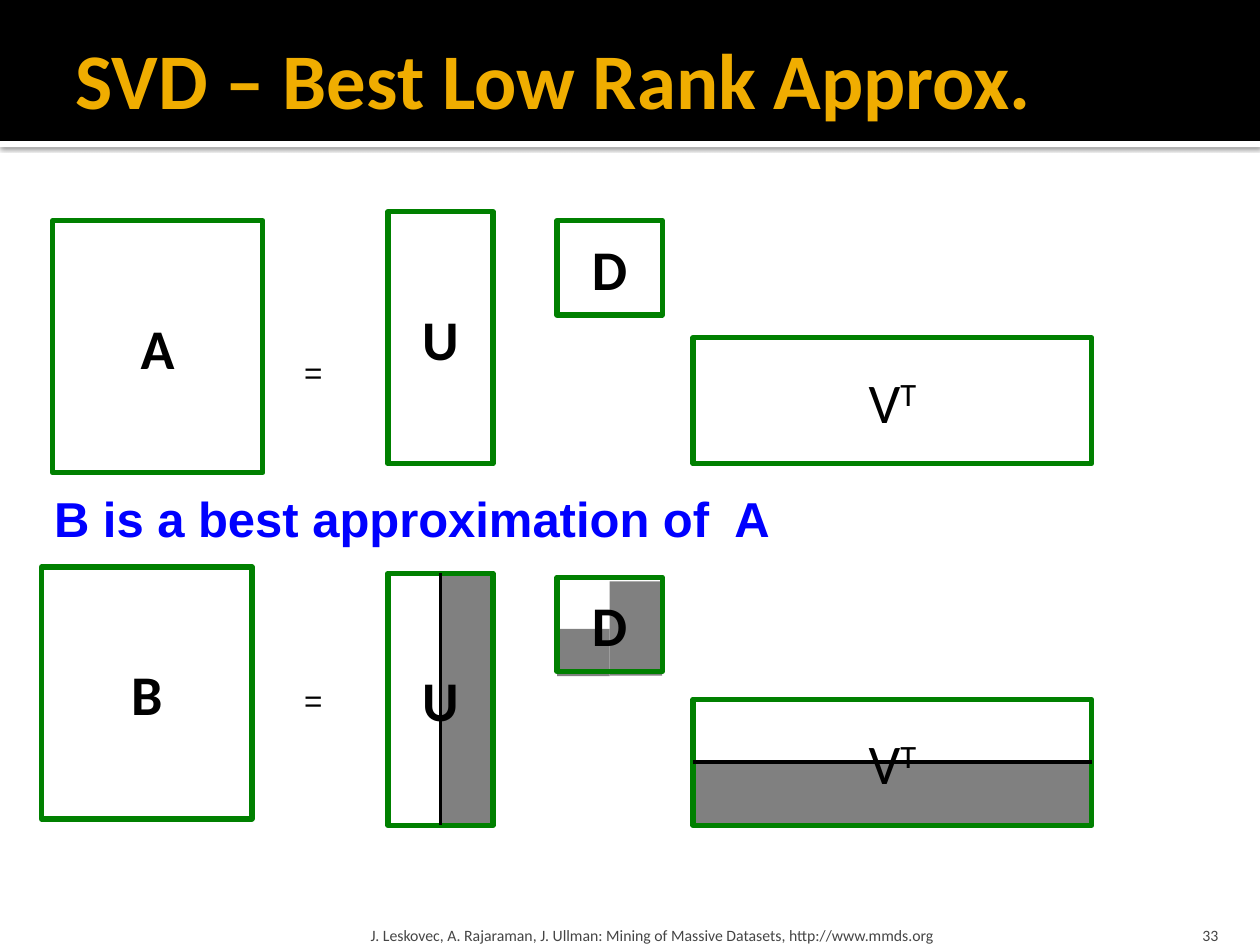
from lxml.etree import SubElement
from pptx import Presentation
from pptx.dml.color import RGBColor
from pptx.enum.shapes import MSO_CONNECTOR, MSO_SHAPE
from pptx.enum.text import MSO_ANCHOR, MSO_AUTO_SIZE, PP_ALIGN
from pptx.oxml.ns import qn
from pptx.util import Cm, Pt

BLACK = RGBColor(0x00, 0x00, 0x00)
WHITE = RGBColor(0xFF, 0xFF, 0xFF)
GOLD = RGBColor(0xF0, 0xAD, 0x00)
GREEN = RGBColor(0x00, 0x80, 0x00)
GREY = RGBColor(0x80, 0x80, 0x80)
BLUE = RGBColor(0x00, 0x00, 0xFF)
FOOTER_GREY = RGBColor(0x45, 0x45, 0x45)

SLIDE_W, SLIDE_H = 25.4, 19.05
TALL = 5.08
U_W = D_W = 2.12
D_H = 1.9
V_W, V_H = 8.04, 2.54


def add_run(paragraph, text, size, color, font="Calibri", bold=False):
    run = paragraph.add_run()
    run.text = text
    run.font.name = font
    run.font.size = Pt(size)
    run.font.bold = bold
    run.font.color.rgb = color
    return run


def add_filled_rect(slide, left, top, width, height, color):
    rect = slide.shapes.add_shape(
        MSO_SHAPE.RECTANGLE, Cm(left), Cm(top), Cm(width), Cm(height))
    rect.shadow.inherit = False
    rect.fill.solid()
    rect.fill.fore_color.rgb = color
    rect.line.fill.background()
    return rect


def add_matrix(slide, left, top, width, height, name, exponent=""):
    """Outlined matrix; one with an exponent is set in regular weight."""
    matrix = slide.shapes.add_shape(
        MSO_SHAPE.RECTANGLE, Cm(left), Cm(top), Cm(width), Cm(height))
    matrix.shadow.inherit = False
    matrix.fill.background()
    matrix.line.color.rgb = GREEN
    matrix.line.width = Pt(3)
    matrix.text_frame.vertical_anchor = MSO_ANCHOR.MIDDLE
    label = matrix.text_frame.paragraphs[0]
    label.alignment = PP_ALIGN.CENTER
    add_run(label, name, 32, BLACK, bold=not exponent)
    if exponent:
        raised = add_run(label, exponent, 32, BLACK)
        raised.font._element.set("baseline", "30000")
    return matrix


def add_cut(slide, matrix, start_side, end_side):
    """Line through a matrix between the middles of two opposite sides."""
    cut = slide.shapes.add_connector(MSO_CONNECTOR.STRAIGHT, 0, 0, 0, 0)
    cut.begin_connect(matrix, start_side)
    cut.end_connect(matrix, end_side)
    cut.line.color.rgb = BLACK
    cut.line.width = Pt(2.25)
    SubElement(cut._element.spPr, qn("a:effectLst"))


def add_text(slide, left, top, width, height, text, size, color,
             font="Calibri", bold=False, anchor=MSO_ANCHOR.TOP,
             align=PP_ALIGN.LEFT, insets=None):
    """Text box; with insets it wraps in its box, without it fits the text."""
    box = slide.shapes.add_textbox(Cm(left), Cm(top), Cm(width), Cm(height))
    frame = box.text_frame
    frame.word_wrap = insets is not None
    frame.vertical_anchor = anchor
    if insets:
        (frame.margin_left, frame.margin_top,
         frame.margin_right, frame.margin_bottom) = map(Cm, insets)
    else:
        frame.auto_size = MSO_AUTO_SIZE.SHAPE_TO_FIT_TEXT
    paragraph = frame.paragraphs[0]
    paragraph.alignment = align
    add_run(paragraph, text, size, color, font, bold)


def add_header(slide, left, top, width, height, title):
    rule = add_filled_rect(slide, left, top + height, width, 0.13, WHITE)
    effects = rule._element.spPr.find(qn("a:effectLst"))
    shadow = SubElement(effects, qn("a:outerShdw"), blurRad=str(Pt(2.5)),
                        dist=str(Pt(0.8)), dir="5400000", rotWithShape="0")
    shade = SubElement(shadow, qn("a:srgbClr"), val=str(BLACK))
    SubElement(shade, qn("a:alpha"), val="60000")
    add_filled_rect(slide, left, top, width, height, BLACK)
    add_text(slide, left + 1.27, top + 0.2, width - 2.54, 2.74, title, 45, GOLD,
             bold=True, anchor=MSO_ANCHOR.MIDDLE, insets=(0.25, 0.13, 0.13, 0.13))


def add_footer(slide, top, height, source, number):
    add_text(slide, 7.34, top, 15.29, height, source, 9, FOOTER_GREY,
             anchor=MSO_ANCHOR.BOTTOM, insets=(0.13, 0.13, 0.13, 0))
    add_text(slide, 22.78, top, 2.03, height, number, 9, FOOTER_GREY,
             anchor=MSO_ANCHOR.BOTTOM, align=PP_ALIGN.RIGHT,
             insets=(0.25, 0.13, 0.25, 0))


def add_dropped_parts(slide, u_left, d_left, v_left, top, d_top, v_top):
    """Grey out the halves of U, D and V that the approximation leaves out."""
    half = U_W / 2
    for box in (
        (v_left, v_top + V_H / 2, V_W, V_H / 2),
        (u_left + half, top + 0.05, half, TALL - 0.05),
        (d_left, d_top + 1.04, half, D_H / 2),
        (d_left + half, d_top + 0.08, half, D_H),
    ):
        add_filled_rect(slide, *box, GREY)


def add_equation(slide, left, top, name, name_offset, equals_offset,
                 d_offset, truncated=False):
    """Matrix = U D V^T; offsets are measured from the top left of the row."""
    u_left, d_left, v_left = left + 6.98, left + 10.39, left + 13.13
    d_top, v_top = top + d_offset, top + 2.54
    if truncated:
        add_dropped_parts(slide, u_left, d_left, v_left, top, d_top, v_top)
    name_dx, name_dy = name_offset
    add_matrix(slide, left + name_dx, top + name_dy, 4.24, TALL, name)
    u_matrix = add_matrix(slide, u_left, top, U_W, TALL, "U")
    v_matrix = add_matrix(slide, v_left, v_top, V_W, V_H, "V", "T")
    if truncated:
        add_cut(slide, u_matrix, 0, 2)
        add_cut(slide, v_matrix, 3, 1)
    add_text(slide, left + 5.04, top + equals_offset, 0.89, 1.02,
             "=", 18, BLACK, "Arial")
    add_matrix(slide, d_left, d_top, D_W, D_H, "D")


def main():
    prs = Presentation()
    prs.slide_width, prs.slide_height = Cm(SLIDE_W), Cm(SLIDE_H)
    slide = prs.slides.add_slide(prs.slide_layouts[6])
    left = 0.84
    add_header(slide, 0, 0, SLIDE_W, 2.84, "SVD – Best Low Rank Approx.")
    add_equation(slide, left, 4.27, "A", (0.22, 0.18), 2.72, 0.18)
    add_text(slide, left, 9.73, 15.11, 1.45, "B is a best approximation of  A",
             28, BLUE, "Arial", bold=True)
    add_equation(slide, left, 11.56, "B", (0, -0.13), 2.05, 0.08, truncated=True)
    add_footer(slide, 18.29, 0.76,
               "J. Leskovec, A. Rajaraman, J. Ullman: Mining of Massive Datasets, "
               "http://www.mmds.org", "33")
    prs.save("out.pptx")


if __name__ == "__main__":
    main()
